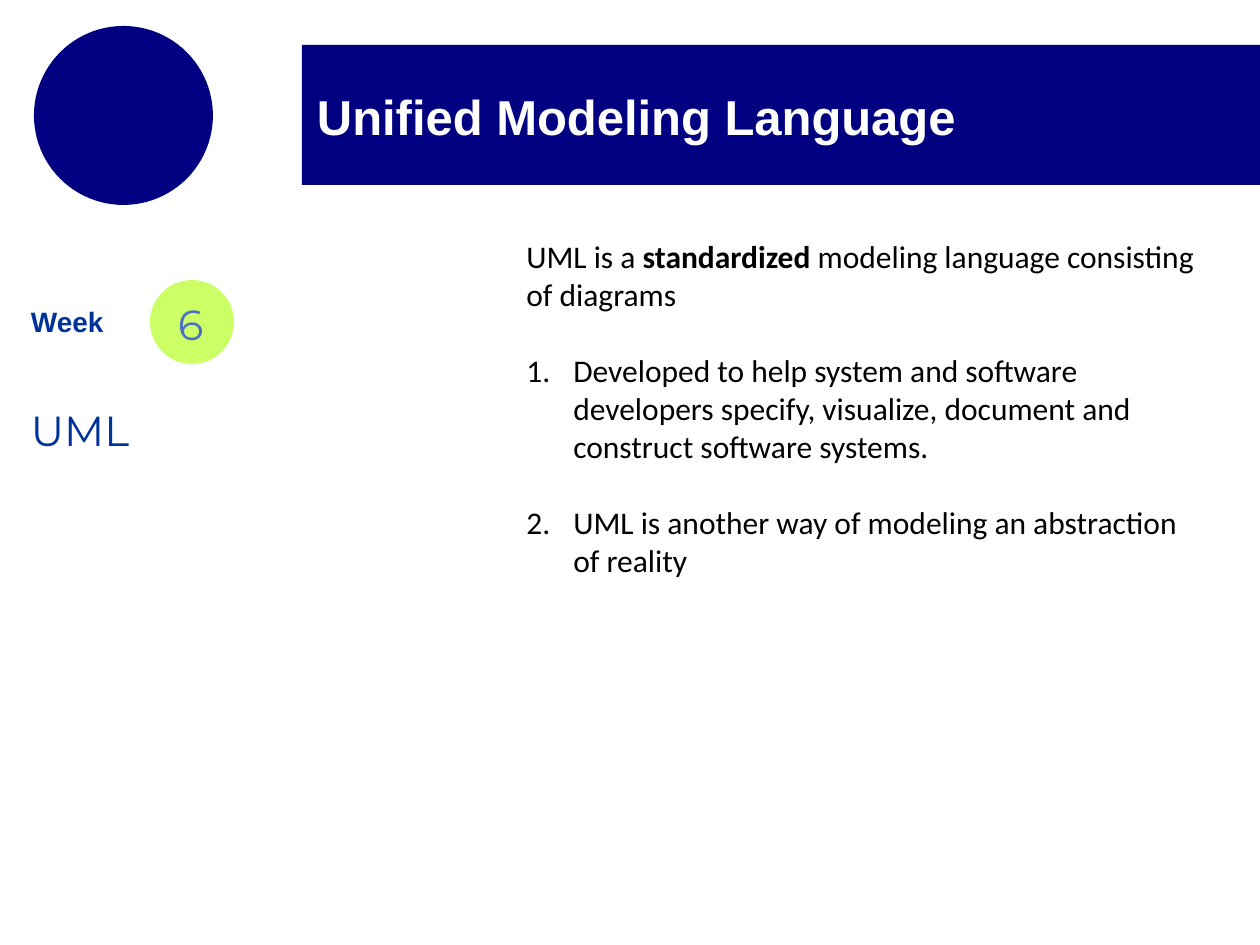
"""Build the Unified Modeling Language slide for week 6."""
import pptx
import pptx.dml.color
import pptx.enum.shapes
import pptx.enum.text
import pptx.oxml
import pptx.oxml.ns
import pptx.util

PX = 914400 / 126
COLORS = {"navy": "000080", "lime": "CCFF66", "blue": "003399",
          "soft_blue": "4E6DC7", "white": "FFFFFF", "black": "000000"}


def px(*lengths):
    return [pptx.util.Emu(round(length * PX)) for length in lengths]


def add_run(paragraph, text, font_name, size, color, bold=False):
    run = paragraph.add_run()
    run.text = text
    run.font.name = font_name
    run.font.size = pptx.util.Pt(size)
    run.font.bold = bold
    run.font.color.rgb = pptx.dml.color.RGBColor.from_string(COLORS[color])


deck = pptx.Presentation()
deck.slide_width, deck.slide_height = px(1260, 945)
slide = deck.slides.add_slide(deck.slide_layouts[5])
title = slide.shapes.title

shape_kinds = pptx.enum.shapes.MSO_SHAPE
for kind, place, color in [
    (shape_kinds.OVAL, (34, 26, 179, 179), "navy"),
    (shape_kinds.OVAL, (150, 280, 84, 84), "lime"),
    (shape_kinds.RECTANGLE, (302, 45, 958, 140), "navy"),
]:
    backdrop = slide.shapes.add_shape(kind, *px(*place))
    backdrop.shadow.inherit = False
    backdrop.fill.solid()
    backdrop.fill.fore_color.rgb = pptx.dml.color.RGBColor.from_string(COLORS[color])
    backdrop.line.fill.background()
    title.element.addprevious(backdrop.element)

title.left, title.top, title.width, title.height = px(315, 84, 694, 62)
week = slide.shapes.add_textbox(*px(29, 302, 76, 38))
number = slide.shapes.add_textbox(*px(176, 296, 32, 54))
topic = slide.shapes.add_textbox(*px(29, 401, 267, 54))
for label, text, font_name, size, color, bold in [
    (title, "Unified Modeling Language", "Arial", 28, "white", True),
    (week, "Week", "Arial", 16, "blue", True),
    (number, "6", "Montserrat", 24, "soft_blue", False),
    (topic, "UML", "Montserrat", 24, "blue", False),
]:
    frame = label.text_frame
    frame.margin_left, frame.margin_top, frame.margin_right, frame.margin_bottom = px(2, 3, 0, 0)
    frame.word_wrap = True
    frame.auto_size = pptx.enum.text.MSO_AUTO_SIZE.SHAPE_TO_FIT_TEXT
    frame.vertical_anchor = pptx.enum.text.MSO_ANCHOR.TOP
    frame.paragraphs[0].alignment = pptx.enum.text.PP_ALIGN.LEFT
    add_run(frame.paragraphs[0], text, font_name, size, color, bold)

body = slide.shapes.add_textbox(*px(514, 231, 693, 357)).text_frame
body.word_wrap = True
body.auto_size = pptx.enum.text.MSO_AUTO_SIZE.SHAPE_TO_FIT_TEXT
for text, bold in [("UML is a ", False), ("standardized", True),
                   (" modeling language consisting of diagrams", False)]:
    add_run(body.paragraphs[0], text, "Calibri", 18, "black", bold)

indent = px(47)[0]
for point in [
    "Developed to help system and software developers specify, visualize, "
    "document and construct software systems.",
    "UML is another way of modeling an abstraction of reality",
]:
    paragraph = body.add_paragraph()
    properties = paragraph._p.get_or_add_pPr()
    properties.set("marL", str(indent))
    properties.set("indent", str(-indent))
    properties.append(pptx.oxml.parse_xml(
        f'<a:buAutoNum {pptx.oxml.ns.nsdecls("a")} type="arabicPeriod"/>'))
    paragraph.space_before = pptx.util.Pt(22)
    add_run(paragraph, point, "Calibri", 18, "black")

deck.save("out.pptx")
